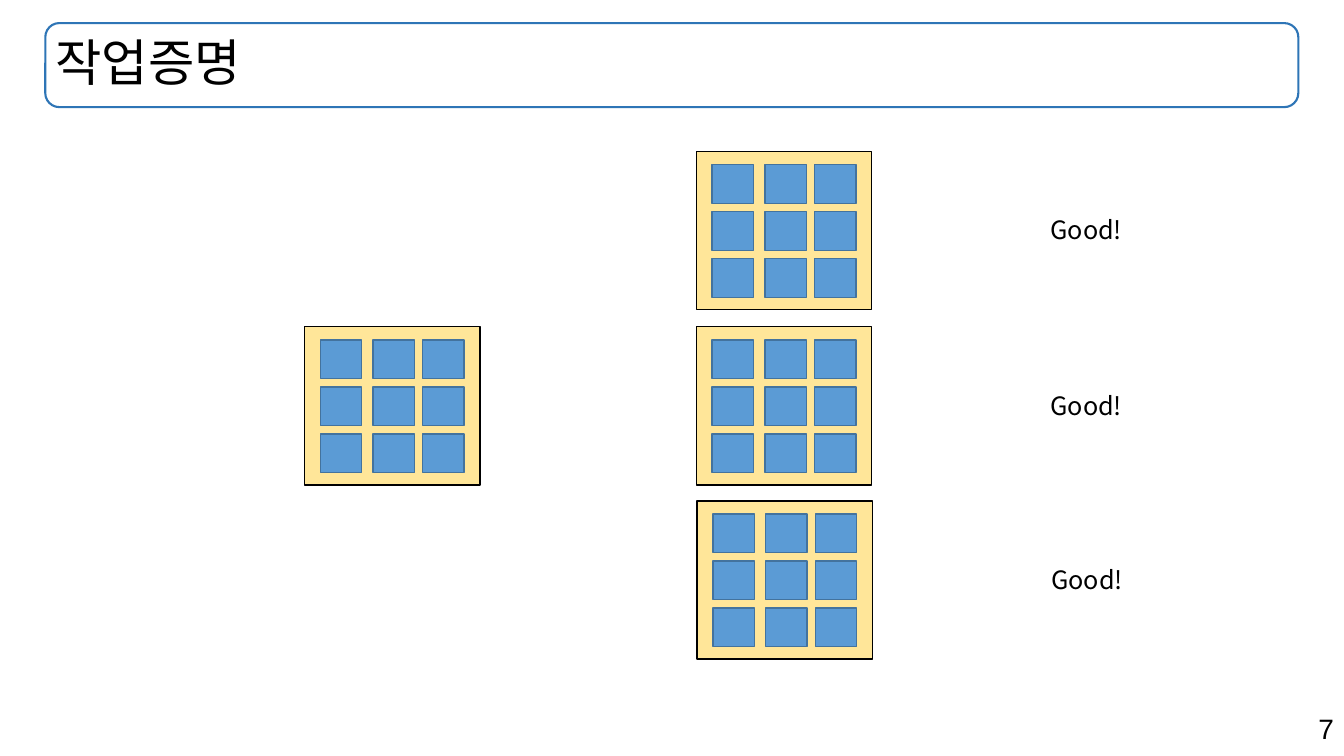
from typing import NamedTuple

from pptx import Presentation
from pptx.dml.color import RGBColor
from pptx.enum.shapes import MSO_SHAPE
from pptx.enum.text import MSO_ANCHOR, MSO_AUTO_SIZE, PP_ALIGN
from pptx.util import Pt

RECT, ROUND = MSO_SHAPE.RECTANGLE, MSO_SHAPE.ROUNDED_RECTANGLE
LEFT, MID, RIGHT = PP_ALIGN.LEFT, PP_ALIGN.CENTER, PP_ALIGN.RIGHT
TOP, CENTER = MSO_ANCHOR.TOP, MSO_ANCHOR.MIDDLE
NO_FIT = MSO_AUTO_SIZE.NONE
SANS, KOREAN = "Arial", "Noto Sans CJK KR"
BLACK, SAND, BLUE, NAVY, FRAME = "000000", "FFE699", "5B9BD5", "43739E", "2E75B6"
COLS = (11.2, 49, 84.4)
ROWS = (9.4, 43, 76.6)


class Box(NamedTuple):
    x: float
    y: float
    w: float
    h: float


class Board(NamedTuple):
    x: float
    y: float
    note: str = ""


HEAD = Box(32.4, 16.5, 895, 60)
BOARDS = (
    Board(217.6, 233.4),
    Board(497.4, 108.2, "Good!"),
    Board(497.4, 233.4, "Good!"),
    Board(498, 357.8, "Good!"),
)


def color(code: str) -> RGBColor:
    return RGBColor.from_string(code)


def lengths(box: Box) -> list[Pt]:
    return [Pt(side) for side in box]


def draw(slide, kind, box: Box, line: str, width: float, fill: str = "") -> None:
    shape = slide.shapes.add_shape(kind, *lengths(box))
    shape.shadow.inherit = False
    if fill:
        shape.fill.solid()
        shape.fill.fore_color.rgb = color(fill)
    else:
        shape.fill.background()
    shape.line.color.rgb = color(line)
    shape.line.width = Pt(width)


def write(shape, text: str, *, size: float, font: str = SANS, align=LEFT,
          anchor=TOP, space: float = 1) -> None:
    frame = shape.text_frame
    frame.word_wrap = True
    frame.auto_size = NO_FIT
    frame.vertical_anchor = anchor
    para = frame.paragraphs[0]
    para.alignment = align
    para.line_spacing = space
    run = para.add_run()
    run.text = text
    run.font.name = font
    run.font.size = Pt(size)
    run.font.color.rgb = color(BLACK)


def label(slide, box: Box, text: str, **style) -> None:
    write(slide.shapes.add_textbox(*lengths(box)), text, **style)


def grid(slide, board: Board) -> None:
    draw(slide, RECT, Box(board.x, board.y, 125.3, 113), BLACK, 1, SAND)
    for row in ROWS:
        for col in COLS:
            cell = Box(board.x + col, board.y + row, 29.6, 27.6)
            draw(slide, RECT, cell, NAVY, 1, BLUE)
    if board.note:
        spot = Box(board.x + 238.6, board.y + 41.6, 80, 29)
        label(slide, spot, board.note, size=18, font=KOREAN, align=MID)


def main() -> None:
    """Build the proof-of-work slide and save it."""
    deck = Presentation()
    deck.slide_width, deck.slide_height = Pt(960), Pt(540)
    slide = deck.slides.add_slide(deck.slide_layouts[5])
    title = slide.shapes.title
    title.left, title.top, title.width, title.height = lengths(HEAD)
    write(title, "작업증명", size=36, anchor=CENTER, space=0.9)
    draw(slide, ROUND, HEAD, FRAME, 1.5)
    label(slide, Box(679, 504.7, 281, 31.5), "7", size=20, align=RIGHT)
    for board in BOARDS:
        grid(slide, board)
    deck.save("out.pptx")


if __name__ == "__main__":
    main()
